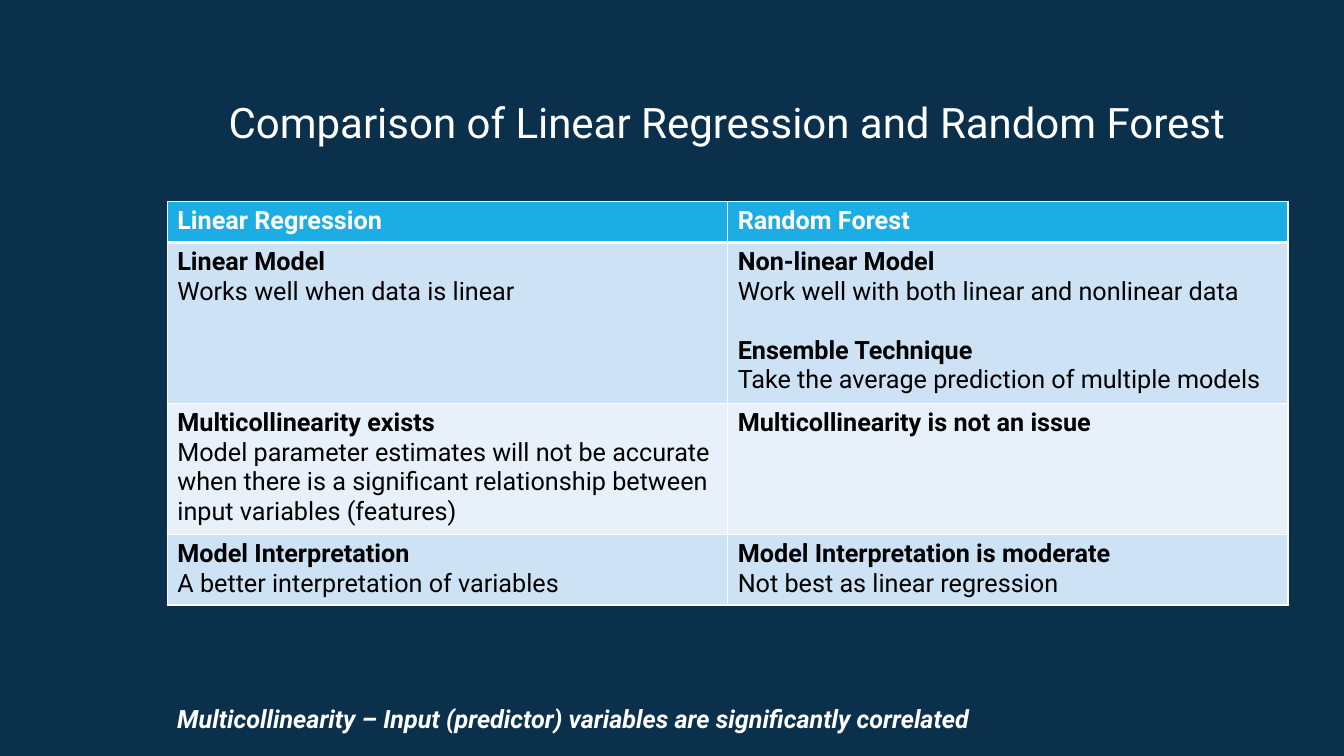
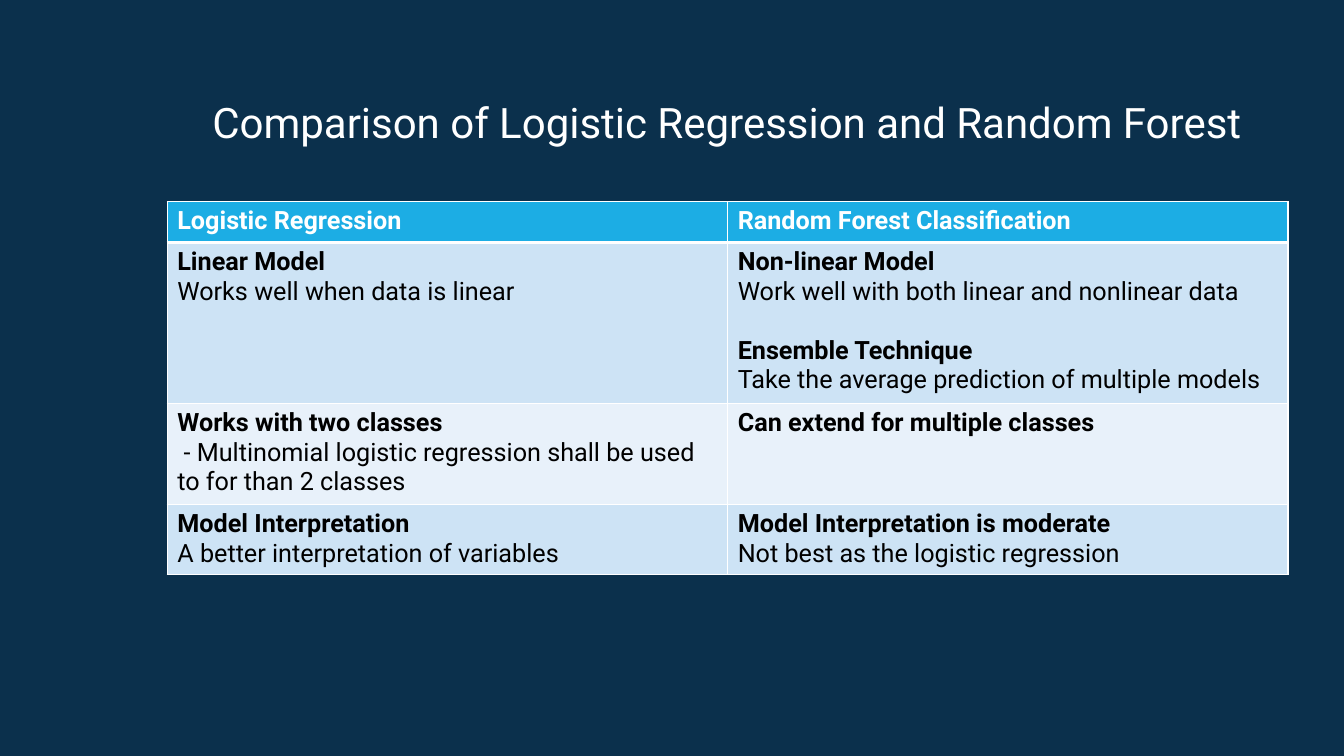
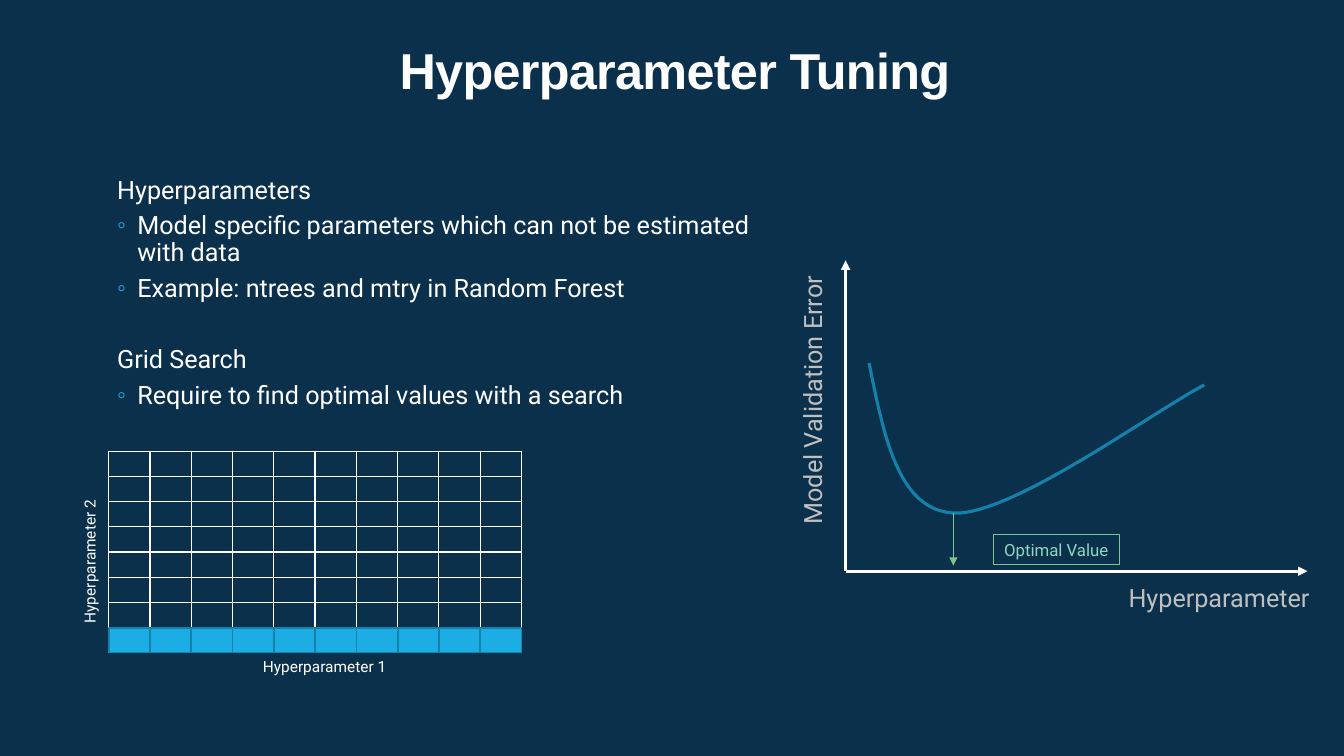
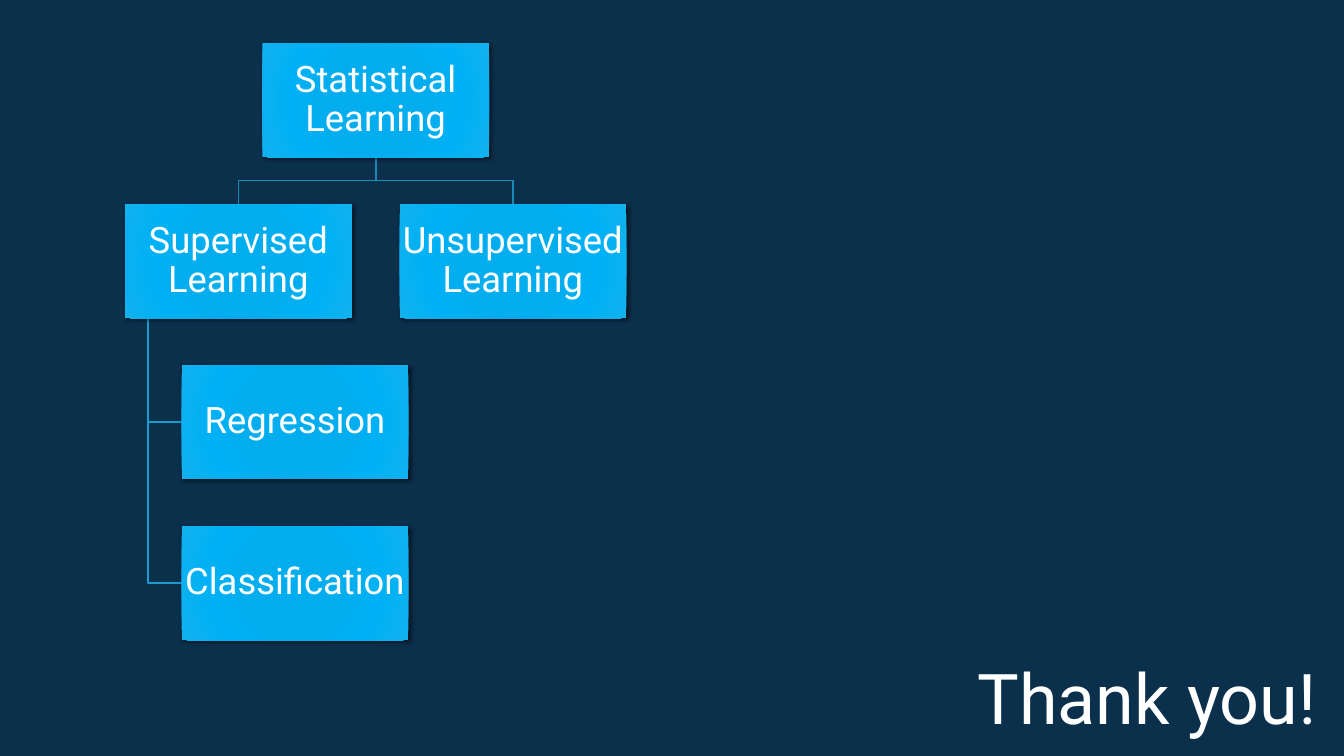
from lxml import etree
from pptx import Presentation, util as u
from pptx.dml.color import RGBColor
from pptx.enum import shapes, text
from pptx.oxml import parse_xml
from pptx.oxml.ns import nsdecls, qn

NAVY = RGBColor(0x0B, 0x30, 0x4C)
WHITE = RGBColor(0xFF, 0xFF, 0xFF)
BLACK = RGBColor(0, 0, 0)
SKY = RGBColor(0x1C, 0xAD, 0xE4)
TEAL = RGBColor(0x15, 0x80, 0xA9)
PALE = RGBColor(0xCD, 0xE3, 0xF5)
MIST = RGBColor(0xE8, 0xF1, 0xFA)
GREY = RGBColor(0xBF, 0xBF, 0xBF)
GREEN = RGBColor(0x7E, 0xC4, 0x92)
MINT = RGBColor(0x8D, 0xD6, 0xC1)
TRUNK = RGBColor(0x16, 0x8B, 0xB7)
TWIG = RGBColor(0x19, 0x9D, 0xCF)
GLOW = (
    (0, RGBColor(0x00, 0xAD, 0xEF)),
    (34, RGBColor(0x03, 0xAD, 0xEE)),
    (70, RGBColor(0x00, 0xB1, 0xF5)),
    (100, RGBColor(0x12, 0xB1, 0xEE)),
)
LEFT, CENTER = text.PP_ALIGN.LEFT, text.PP_ALIGN.CENTER
TOP, MIDDLE = text.MSO_ANCHOR.TOP, text.MSO_ANCHOR.MIDDLE
LINE = 21

MODELS = (
    [("Linear Model", "Works well when data is linear")],
    [("Non-linear Model", "Work well with both linear and nonlinear data"),
     ("Ensemble Technique", "Take the average prediction of multiple models")],
)
CLEAR = [("Model Interpretation", "A better interpretation of variables")]
FAIR = "Model Interpretation is moderate"


class Deck:
    """Holds the deck style and the slide being drawn."""

    def __init__(self):
        self.prs = Presentation()
        self.prs.slide_width, self.prs.slide_height = u.Pt(960), u.Pt(540)
        fill = self.prs.slide_master.background.fill
        fill.solid()
        fill.fore_color.rgb = NAVY

    def start(self, layout=5):
        self.slide = self.prs.slides.add_slide(self.prs.slide_layouts[layout])
        self.shapes = self.slide.shapes

    def place(self, shape, spot):
        shape.left, shape.top, shape.width, shape.height = map(u.Pt, spot)

    def say(self, para, words, size=18, color=WHITE, bold=False, slant=False, face="Roboto"):
        run = para.add_run()
        run.text = words
        font = run.font
        font.name, font.size, font.bold, font.italic = face, u.Pt(size), bold, slant
        font.color.rgb = color
        return run

    def title(self, words, spot, size=30, align=CENTER, wrap=False, **style):
        shape = self.shapes.title
        self.place(shape, spot)
        frame = shape.text_frame
        frame.auto_size, frame.word_wrap = text.MSO_AUTO_SIZE.NONE, wrap
        frame.vertical_anchor = TOP
        para = frame.paragraphs[0]
        para.alignment = align
        return para, self.say(para, words, size, **style)

    def label(self, words, spot, size=18, turn=0, wrap=False, **style):
        box = self.shapes.add_textbox(*map(u.Pt, spot))
        box.rotation = turn
        box.text_frame.word_wrap = wrap
        self.say(box.text_frame.paragraphs[0], words, size, **style)

    def items(self, groups, spot):
        shape = self.slide.placeholders[1]
        self.place(shape, spot)
        frame = shape.text_frame
        frame.auto_size, frame.vertical_anchor = text.MSO_AUTO_SIZE.NONE, TOP
        para = None
        for head, points in groups:
            for words in (head, *points):
                first = para is None
                para = frame.paragraphs[0] if first else frame.add_paragraph()
                props = para._p.get_or_add_pPr()
                if words == head:
                    props.set("marL", str(u.Pt(16)))
                    props.set("indent", "0")
                    etree.SubElement(props, qn("a:buNone"))
                    gap = 0 if first else 27.4
                else:
                    props.set("marL", str(u.Pt(30.4)))
                    props.set("indent", str(u.Pt(-14.4)))
                    tint = etree.SubElement(props, qn("a:buClr"))
                    etree.SubElement(tint, qn("a:srgbClr")).set("val", str(SKY))
                    etree.SubElement(props, qn("a:buChar")).set("char", "◦")
                    gap = 2
                para.line_spacing = 0.9
                para.space_before, para.space_after = u.Pt(gap), u.Pt(4)
                para.alignment = LEFT
                self.say(para, words)

    def edge(self, cell, base=1):
        props = cell._tc.get_or_add_tcPr()
        for side in "LRTB":
            width = u.Pt(base if side == "B" else 1)
            props.append(parse_xml(
                f'<a:ln{side} {nsdecls("a")} w="{width}"><a:solidFill>'
                f'<a:srgbClr val="{WHITE}"/></a:solidFill></a:ln{side}>'))

    def table(self, spot, rows, cols):
        table = self.shapes.add_table(len(rows), cols, *map(u.Pt, spot), 0).table
        table.horz_banding = False
        for row, height in zip(table.rows, rows):
            row.height = u.Pt(height)
        return table

    def compare(self, rows, heights):
        table = self.table((119.5, 144, 800.6), heights, 2)
        for i, row in enumerate(rows):
            for j, pairs in enumerate(row):
                cell = table.cell(i, j)
                self.edge(cell, 1 if i else 3)
                cell.fill.solid()
                cell.fill.fore_color.rgb = (PALE if i % 2 else MIST) if i else SKY
                self.fill(cell.text_frame, pairs, BLACK if i else WHITE)

    def fill(self, frame, pairs, color):
        para = None
        for head, note in pairs:
            first = para is None
            para = frame.paragraphs[0] if first else frame.add_paragraph()
            if not first:
                para.space_before = u.Pt(LINE)
            self.say(para, head, color=color, bold=True)
            if note:
                para = frame.add_paragraph()
                self.say(para, note, color=color)

    def grid(self, spot, count, cols, height):
        table = self.table(spot, [height] * count, cols)
        table.first_row = False
        for cell in table.iter_cells():
            self.edge(cell)
            cell.fill.background()
            cell.text_frame.paragraphs[0]._p.get_or_add_endParaRPr().set("sz", "800")

    def box(self, spot, fill=None, line=None, width=1):
        shape = self.shapes.add_shape(shapes.MSO_SHAPE.RECTANGLE, *map(u.Pt, spot))
        shape.shadow.inherit = False
        self.paint(shape, line, width)
        if fill is None:
            shape.fill.background()
        else:
            shape.fill.solid()
            shape.fill.fore_color.rgb = fill
        return shape

    def paint(self, shape, line, width):
        if line is None:
            shape.line.fill.background()
        else:
            shape.line.color.rgb = line
            shape.line.width = u.Pt(width)

    def badge(self, words, spot, size, color, line):
        frame = self.box(spot, line=line, width=0.75).text_frame
        frame.word_wrap = False
        frame.paragraphs[0].alignment = CENTER
        self.say(frame.paragraphs[0], words, size, color)

    def node(self, words, spot):
        shape = self.box(spot, SKY)
        props = shape._element.spPr
        stops = "".join(f'<a:gs pos="{pos * 1000}"><a:srgbClr val="{color}"/></a:gs>'
                        for pos, color in GLOW)
        props.replace(props.find(qn("a:solidFill")), parse_xml(
            f'<a:gradFill {nsdecls("a")}><a:gsLst>{stops}</a:gsLst><a:path path="circle">'
            '<a:fillToRect l="100000" t="100000" r="100000" b="100000"/></a:path></a:gradFill>'))
        props.find(qn("a:effectLst")).append(parse_xml(
            f'<a:outerShdw {nsdecls("a")} blurRad="{u.Pt(3.5)}" dist="{u.Pt(2)}" dir="2700000">'
            f'<a:srgbClr val="{BLACK}"><a:alpha val="60000"/></a:srgbClr></a:outerShdw>'))
        frame = shape.text_frame
        frame.word_wrap, frame.vertical_anchor = True, MIDDLE
        frame.margin_left = frame.margin_right = u.Pt(1.4)
        frame.margin_top = frame.margin_bottom = u.Pt(1.4)
        para = frame.paragraphs[0]
        para.alignment, para.line_spacing = CENTER, 0.9
        self.say(para, words, 26)

    def trace(self, points, color, width):
        first, *rest = [(u.Pt(x), u.Pt(y)) for x, y in points]
        pen = self.shapes.build_freeform(*first, scale=1.0)
        pen.add_line_segments(rest, close=False)
        shape = pen.convert_to_shape()
        shape.shadow.inherit = False
        shape.fill.background()
        self.paint(shape, color, width)

    def arrow(self, start, end, color, width):
        kind = shapes.MSO_CONNECTOR.STRAIGHT
        line = self.shapes.add_connector(kind, *map(u.Pt, start + end))
        self.paint(line, color, width)
        props = line._element.spPr
        etree.SubElement(props.find(qn("a:ln")), qn("a:tailEnd")).set("type", "triangle")
        etree.SubElement(props, qn("a:effectLst"))


def bend(a, b, c, d, steps=24):
    """Return points along a cubic curve."""
    def mix(t, i):
        s = 1 - t
        return s**3 * a[i] + 3 * s * s * t * b[i] + 3 * s * t * t * c[i] + t**3 * d[i]
    return [(mix(k / steps, 0), mix(k / steps, 1)) for k in range(steps + 1)]


def linear(deck):
    deck.start()
    deck.title("Comparison of Linear Regression and Random Forest", (152, 65.5, 735, 44))
    deck.compare((
        ([("Linear Regression", "")], [("Random Forest", "")]),
        MODELS,
        ([("Multicollinearity exists",
           "Model parameter estimates will not be accurate when there is a significant "
           "relationship between input variables (features)")],
         [("Multicollinearity is not an issue", "")]),
        (CLEAR, [(FAIR, "Not best as linear regression")]),
    ), (29.2, 115, 93.6, 50.4))
    deck.label("Multicollinearity – Input (predictor) variables are significantly correlated",
               (119.5, 499, 685.5, 29), wrap=True, bold=True, slant=True)


def logit(deck):
    deck.start()
    deck.title("Comparison of Logistic Regression and Random Forest", (140, 65.5, 759, 44))
    deck.compare((
        ([("Logistic Regression", "")], [("Random Forest Classification", "")]),
        MODELS,
        ([("Works with two classes",
           " - Multinomial logistic regression shall be used to for than 2 classes")],
         [("Can extend for multiple classes", "")]),
        (CLEAR, [(FAIR, "Not best as the logistic regression")]),
    ), (29.2, 115, 72, 50.4))


def tuning(deck):
    deck.start(1)
    para, run = deck.title("Hyperparameter Tuning", (103.5, 31, 757, 88.5), 36,
                           wrap=True, bold=True, face="Arial")
    para.line_spacing = 0.85
    run.font._element.set("spc", "-50")
    deck.items((
        ("Hyperparameters", ("Model specific parameters which can not be estimated with data",
                             "Example: ntrees and mtry in Random Forest")),
        ("Grid Search", ("Require to find optimal values with a search",)),
    ), (60.5, 123, 508.5, 242.5))

    base = (604, 408)
    deck.arrow(base, (934, 408), WHITE, 2.25)
    deck.label("Hyperparameter", (799, 412.5, 145.5, 29), color=GREY)
    deck.arrow(base, (604, 186), WHITE, 2.25)
    deck.label("Model Validation Error", (483, 270, 194.5, 29), turn=270, color=GREY)
    low = (681, 366.5)
    fall = bend((620.8, 259.3), (631.5, 312), (641.5, 364), low)
    rise = bend(low, (721.5, 369), (823, 294.5), (860.2, 275))
    deck.trace(fall + rise[1:], TEAL, 2.25)
    deck.arrow(low, (681, 404), GREEN, 1)
    deck.badge("Optimal Value", (709.5, 381.6, 90, 22), 12, MINT, GREEN)

    left, top, wide, high, cols, rows = 77.6, 322.3, 29.5, 18, 10, 8
    deck.grid((left, top, cols * wide), rows, cols, high)
    deck.label("Hyperparameter 2", (12.2, 390.2, 103.7, 20.6), 11, turn=270)
    deck.label("Hyperparameter 1", (180.7, 466, 103.7, 20.6), 11)
    for i in range(cols):
        deck.box((left + i * wide, top + (rows - 1) * high + 0.5, wide, 17.3), SKY, TEAL, 1.25)


def thanks(deck):
    deck.start()
    deck.title("Thank you!", (691, 464, 259, 67.5), 50, LEFT)
    wide, high, top, step = 162, 81.4, 30.8, 115
    nodes = (
        ("Statistical Learning", 187.4, 0),
        ("Supervised Learning", 89.3, 1),
        ("Regression", 129.8, 2),
        ("Classification", 129.8, 3),
        ("Unsupervised Learning", 285.4, 1),
    )
    root, foot, mid = 187.4 + wide / 2, top + high, top + (high + step) / 2
    stem = 105.8
    for words, left, row in nodes:
        head = top + row * step
        if row == 1:
            x = left + wide / 2
            deck.trace(((root, foot), (root, mid), (x, mid), (x, head)), TRUNK, 1.25)
        elif row:
            y = head + high / 2
            deck.trace(((stem, foot + step), (stem, y), (left, y)), TWIG, 1.25)
    for words, left, row in nodes:
        deck.node(words, (left, top + row * step, wide, high))


def main():
    deck = Deck()
    for draw in (linear, logit, tuning, thanks):
        draw(deck)
    deck.prs.save("out.pptx")


if __name__ == "__main__":
    main()
